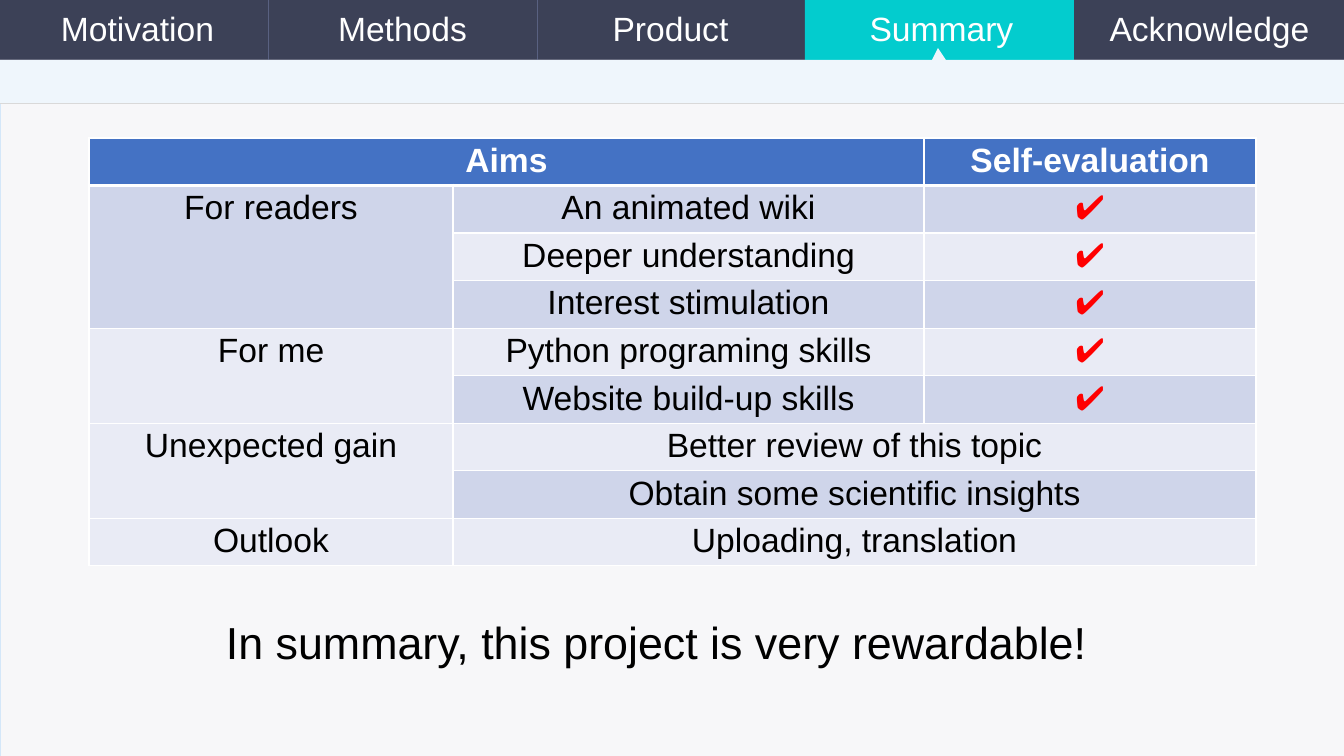
from dataclasses import dataclass

from lxml import etree
from pptx import Presentation
from pptx import util as u
from pptx.dml.color import RGBColor
from pptx.enum import shapes, text
from pptx.oxml import ns


@dataclass(frozen=True)
class Theme:
    font: str = "Arial"
    body_size: int = 24
    closing_size: int = 32
    nav: str = "3C4157"
    active: str = "03CCCE"
    page: str = "F7F7F9"
    page_line: str = "D4E7F9"
    band: str = "EFF6FC"
    rule: str = "D9D9D9"
    groove: str = "596181"
    header: str = "4472C4"
    dark_row: str = "CFD5EA"
    light_row: str = "E9EBF5"
    tick: str = "FF0000"
    black: str = "000000"
    white: str = "FFFFFF"


@dataclass(frozen=True)
class Tab:
    label: str
    left: int


@dataclass(frozen=True)
class Entry:
    row: int
    col: int
    label: str
    rows: int = 1
    cols: int = 1


T = Theme()
EMU_PER_PX = 914400 / 100.8
WIDTH, HEIGHT = 1344, 756
NAV_H, BAND_BOTTOM = 60, 103
TAB_W = 267

TABS = [Tab("Motivation", 4), Tab("Methods", 269), Tab("Product", 537),
        Tab("Summary", 808), Tab("Acknowledge", 1076)]
DIVIDERS = [268, 537, 805, 1072]
POINTER_BAND = [(938, 48), (946, NAV_H), (WIDTH, NAV_H), (WIDTH, BAND_BOTTOM),
                (0, BAND_BOTTOM), (0, NAV_H), (932, NAV_H)]

TABLE_BOX = (89, 138, 1167, 428)
COLUMNS = [364, 471, 332]
ROWS = 9
TICK = "✔"
AIMS = ["An animated wiki", "Deeper understanding", "Interest stimulation",
        "Python programing skills", "Website build-up skills"]
GAINS = ["Better review of this topic", "Obtain some scientific insights",
         "Uploading, translation"]
ENTRIES = [
    Entry(0, 0, "Aims", cols=2), Entry(0, 2, "Self-evaluation"),
    Entry(1, 0, "For readers", rows=3), Entry(4, 0, "For me", rows=2),
    Entry(6, 0, "Unexpected gain", rows=2), Entry(8, 0, "Outlook"),
    *(Entry(i, 1, aim) for i, aim in enumerate(AIMS, 1)),
    *(Entry(i, 2, TICK) for i in range(1, len(AIMS) + 1)),
    *(Entry(i, 1, gain, cols=2) for i, gain in enumerate(GAINS, 6)),
]


def px(n: float) -> int:
    return round(n * EMU_PER_PX)


def rgb(color: str) -> RGBColor:
    return RGBColor.from_string(color)


def apply(obj, values: dict) -> None:
    for name, value in values.items():
        setattr(obj, name, value)


def write(tf, label: str, size: int, color: str, bold: bool = False,
          align=text.PP_ALIGN.CENTER) -> None:
    p = tf.paragraphs[0]
    p.alignment = align
    r = p.add_run()
    r.text = label
    apply(r.font, {"name": T.font, "size": u.Pt(size), "bold": bold})
    r.font.color.rgb = rgb(color)


def paint(sp, fill: str | None, line: str | None = None) -> None:
    sp.shadow.inherit = False
    if fill:
        sp.fill.solid()
        sp.fill.fore_color.rgb = rgb(fill)
    else:
        sp.fill.background()
    if line:
        sp.line.color.rgb = rgb(line)
        sp.line.width = u.Pt(0.5)
    else:
        sp.line.fill.background()


def add_rect(s, box: tuple, fill: str | None, line: str | None = None):
    sp = s.shapes.add_shape(shapes.MSO_SHAPE.RECTANGLE, *map(px, box))
    paint(sp, fill, line)
    return sp


def add_line(s, x1: int, y1: int, x2: int, y2: int, color: str, width: float) -> None:
    cx = s.shapes.add_connector(shapes.MSO_CONNECTOR.STRAIGHT, *map(px, (x1, y1, x2, y2)))
    cx.line.color.rgb = rgb(color)
    cx.line.width = u.Pt(width)
    etree.SubElement(cx._element.spPr, ns.qn("a:effectLst"))


def add_nav(s) -> None:
    add_rect(s, (0, 0, WIDTH, NAV_H), T.nav)
    add_rect(s, (0, NAV_H, WIDTH, HEIGHT - NAV_H), T.page, T.page_line)
    for x in DIVIDERS:
        add_line(s, x, 0, x, NAV_H, T.black, 0.5)
        add_line(s, x + 1, 0, x + 1, NAV_H, T.groove, 0.75)
    add_rect(s, (DIVIDERS[2], 0, 269, NAV_H), T.active)

    # Band whose pointer marks the active tab
    points = [(px(x), px(y)) for x, y in POINTER_BAND]
    builder = s.shapes.build_freeform(*points[0])
    builder.add_line_segments(points[1:], close=True)
    paint(builder.convert_to_shape(), T.band)
    add_line(s, 0, BAND_BOTTOM, WIDTH, BAND_BOTTOM, T.rule, 0.5)

    # Tab labels
    for tab in TABS:
        sp = add_rect(s, (tab.left, -2, TAB_W, NAV_H), None)
        apply(sp.text_frame, {"word_wrap": True,
                              "vertical_anchor": text.MSO_ANCHOR.MIDDLE})
        write(sp.text_frame, tab.label, T.body_size, T.white)


def set_borders(cell, widths: dict) -> None:
    tc_pr = cell._tc.get_or_add_tcPr()
    for i, (side, width) in enumerate(widths.items()):
        ln = etree.Element(ns.qn(f"a:ln{side}"), w=str(u.Pt(width)))
        fill = etree.SubElement(ln, ns.qn("a:solidFill"))
        etree.SubElement(fill, ns.qn("a:srgbClr"), val=T.white)
        tc_pr.insert(i, ln)


def row_fill(row: int, col: int) -> str:
    if row == 0:
        return T.header
    if row == ROWS - 1:
        return T.light_row
    return T.dark_row if row in (1, 3, 5, 7) else T.light_row


def add_aims_table(s) -> None:
    table = s.shapes.add_table(ROWS, len(COLUMNS), *map(px, TABLE_BOX)).table
    apply(table, {"first_row": False, "horz_banding": False})
    for column, width in zip(table.columns, COLUMNS):
        column.width = px(width)
    for row in table.rows:
        row.height = px(TABLE_BOX[3] / ROWS)

    # Fills, margins and borders
    for r in range(ROWS):
        for c in range(len(COLUMNS)):
            cell = table.cell(r, c)
            cell.fill.solid()
            cell.fill.fore_color.rgb = rgb(row_fill(r, c))
            apply(cell, {"margin_top": px(4), "margin_bottom": px(4)})
            set_borders(cell, {"L": 1, "R": 1, "T": 3 if r == 1 else 1,
                               "B": 3 if r == 0 else 1})

    # Wording and merged cells
    for e in ENTRIES:
        cell = table.cell(e.row, e.col)
        if e.rows > 1 or e.cols > 1:
            cell.merge(table.cell(e.row + e.rows - 1, e.col + e.cols - 1))
        color = T.white if e.row == 0 else T.tick if e.label == TICK else T.black
        write(cell.text_frame, e.label, T.body_size, color, bold=e.row == 0)


def add_closing(s) -> None:
    tf = s.shapes.add_textbox(*map(px, (216, 610, 965, 146))).text_frame
    tf.word_wrap = True
    write(tf, "In summary, this project is very rewardable!",
          T.closing_size, T.black, align=text.PP_ALIGN.LEFT)


def main() -> None:
    prs = Presentation()
    apply(prs, {"slide_width": px(WIDTH), "slide_height": px(HEIGHT)})
    s = prs.slides.add_slide(prs.slide_layouts[6])
    add_nav(s)
    add_aims_table(s)
    add_closing(s)
    prs.save("out.pptx")


if __name__ == "__main__":
    main()
